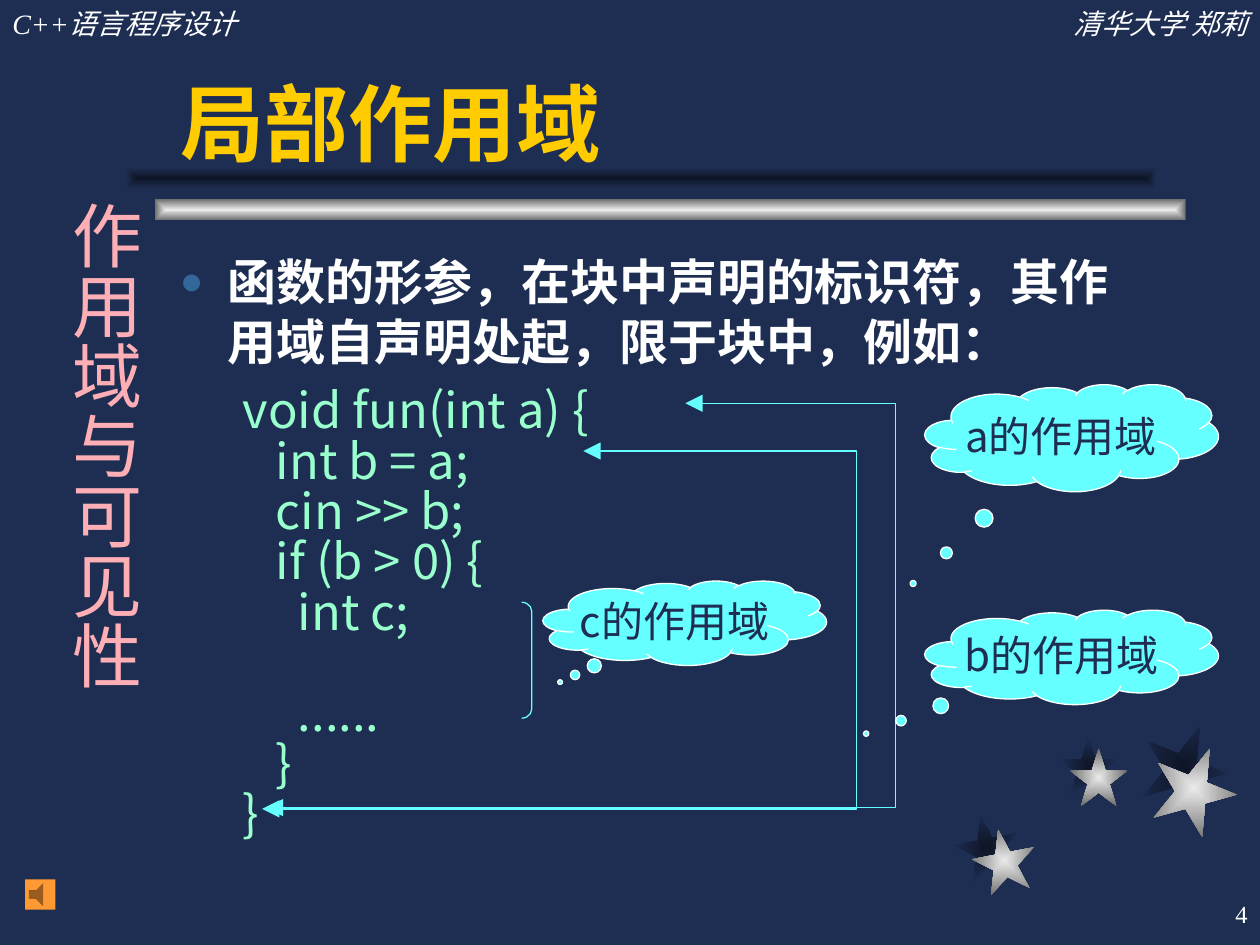
import pptx
import pptx.util
import pptx.dml.color
import pptx.enum.shapes
import pptx.enum.text
import pptx.oxml
import pptx.oxml.ns
from lxml import etree

Inches, Pt = pptx.util.Inches, pptx.util.Pt
SHAPE = pptx.enum.shapes.MSO_SHAPE
ALIGN = pptx.enum.text.PP_ALIGN
ANCHOR = pptx.enum.text.MSO_ANCHOR

THEME = {
    "background": "1E2E53", "shade": "0E1526", "silver": "EAEAEA", "steel": "6C6C6C",
    "white": "FFFFFF", "title": "FFCC00", "bullet": "336699", "code": "99FFCC",
    "cyan": "66FFFF", "topic": "FDAFB5", "sound": "FF9933",
    "cjk": "Noto Sans CJK SC", "serif": "Times New Roman", "sans": "Arial",
    "title_size": 48, "topic_size": 40, "body_size": 28, "cloud_size": 24,
    "header_size": 16, "number_size": 14, "hairline": 0.75,
}

# Content
TITLE = "局部作用域"
COURSE, AUTHOR, PAGE = "C++语言程序设计", "清华大学 郑莉", "4"
TOPIC = "作用域与可见性"
RULE = "函数的形参，在块中声明的标识符，其作用域自声明处起，限于块中，例如："
CODE = ["void fun(int a) {", "   int b = a;", "   cin >> b;", "   if (b > 0) {",
        "     int c;", "     ......", "   }", "}"]
LINE_AFTER_GAP = "     ......"
CODE_PITCH = 28.8

# Clouds: text, box, pointer offset
CLOUDS = [
    ("c的作用域", (4.31, 4.61, 2.25, 0.67), (-0.44, 0.70)),
    ("b的作用域", (7.34, 4.84, 2.33, 0.75), (-0.70, 0.81)),
    ("a的作用域", (7.34, 3.05, 2.33, 0.85), (-0.54, 1.36)),
]
# Scope paths: start of the scope, right edge, end of the scope
SCOPES = [((4.63, 3.58), 6.8, (2.08, 6.42)), ((5.44, 3.2), 7.11, (2.11, 6.41))]
# Stars: left, top, size, rotation, offset of the shade
STARS = [(7.72, 6.58, 0.5, 349, (-0.14, -0.11)),
         (8.49, 5.94, 0.46, 0, (-0.08, -0.09)),
         (9.14, 5.92, 0.67, 22, (-0.08, -0.17))]


def rgb(name):
    return pptx.dml.color.RGBColor.from_string(THEME[name])


def add_xml(parent, tag, **attributes):
    child = etree.SubElement(parent, pptx.oxml.ns.qn("a:" + tag))
    for key, value in attributes.items():
        child.set(key, str(value))
    return child


def style(paragraph, face, size, color, bold=False, italic=False):
    for run in paragraph.runs:
        font = run.font
        font.name, font.size = THEME[face], Pt(THEME[size])
        font.bold, font.italic = bold, italic
        font.color.rgb = rgb(color)
        add_xml(run.font._element, "ea", typeface=THEME["cjk"])


def add_text(slide, box, text, *look, align=ALIGN.LEFT, anchor=ANCHOR.TOP, **emphasis):
    frame = slide.shapes.add_textbox(*map(Inches, box)).text_frame
    frame.word_wrap = True
    frame.vertical_anchor = anchor
    frame.text = text
    frame.paragraphs[0].alignment = align
    style(frame.paragraphs[0], *look, **emphasis)
    return frame


def add_preset(slide, preset, box, fill=None, line=None):
    shape = slide.shapes.add_shape(preset, *map(Inches, box))
    shape.shadow.inherit = False
    if fill:
        shape.fill.solid()
        shape.fill.fore_color.rgb = rgb(fill)
    else:
        shape.fill.background()
    if line:
        shape.line.color.rgb = rgb(line)
        shape.line.width = Pt(THEME["hairline"])
    else:
        shape.line.fill.background()
    return shape


def add_glow(slide, preset, box, inner, outer, rotation=0):
    """Add a shape with a gradient that runs from its middle to its edges."""
    shape = add_preset(slide, preset, box)
    shape.rotation = rotation
    properties = shape._element.spPr
    gradient = etree.Element(pptx.oxml.ns.qn("a:gradFill"), rotWithShape="1")
    stops = add_xml(gradient, "gsLst")
    for position, color in ((0, inner), (100000, outer)):
        add_xml(add_xml(stops, "gs", pos=position), "srgbClr", val=THEME[color])
    middle = dict.fromkeys("ltrb", 50000)
    add_xml(add_xml(gradient, "path", path="rect"), "fillToRect", **middle)
    properties.replace(properties.find(pptx.oxml.ns.qn("a:noFill")), gradient)


def add_scope(slide, start, right, end):
    corners = [(right, start[1]), (right, end[1]), end]
    builder = slide.shapes.build_freeform(*map(Inches, start))
    builder.add_line_segments([tuple(map(Inches, point)) for point in corners], close=False)
    scope = builder.convert_to_shape()
    scope.shadow.inherit = False
    scope.fill.background()
    scope.line.color.rgb = rgb("cyan")
    scope.line.width = Pt(THEME["hairline"])
    for end_tag in ("headEnd", "tailEnd"):
        add_xml(scope.line._get_or_add_ln(), end_tag, type="triangle", w="lg", len="lg")


def add_body(slide):
    frame = add_text(slide, (1.33, 1.94, 7.92, 5), RULE, "cjk", "body_size", "white", bold=True)
    rule = frame.paragraphs[0]
    properties = rule._p.get_or_add_pPr()
    properties.set("marL", str(Inches(0.38)))
    properties.set("indent", str(Inches(-0.38)))
    add_xml(add_xml(properties, "buClr"), "srgbClr", val=THEME["bullet"])
    add_xml(properties, "buSzPct", val=80000)
    add_xml(properties, "buFont", typeface=THEME["sans"])
    add_xml(properties, "buChar", char="●")
    rule.line_spacing, rule.space_after = Pt(34.3), Pt(10)
    for text in CODE:
        line = frame.add_paragraph()
        line.text = text
        line._p.get_or_add_pPr().set("marL", str(Inches(0.5)))
        line.line_spacing = Pt(CODE_PITCH)
        line.space_before = Pt(CODE_PITCH if text == LINE_AFTER_GAP else 0)
        style(line, "cjk", "body_size", "code")


def main():
    deck = pptx.Presentation()
    deck.slide_width, deck.slide_height = Inches(10), Inches(7.5)
    slide = deck.slides.add_slide(deck.slide_layouts[5])
    slide.background.fill.solid()
    slide.background.fill.fore_color.rgb = rgb("background")

    # Stars and title bar, each with its shade
    for left, top, size, rotation, (dx, dy) in STARS:
        add_glow(slide, SHAPE.STAR_5_POINT, (left + dx, top + dy, size, size),
                 "shade", "background", rotation)
    for left, top, size, rotation, _ in STARS:
        add_glow(slide, SHAPE.STAR_5_POINT, (left, top, size, size), "silver", "steel", rotation)
    add_glow(slide, SHAPE.RECTANGLE, (1.23, 1.58, 8.18, 0.17), "silver", "steel")
    add_glow(slide, SHAPE.RECTANGLE, (1, 1.33, 8.18, 0.17), "shade", "background")

    # Header and page number
    header = ("serif", "header_size", "white")
    add_text(slide, (0, 0, 3.08, 0.37), COURSE, *header, italic=True)
    add_text(slide, (6.92, 0, 3.08, 0.37), AUTHOR, *header, align=ALIGN.RIGHT, italic=True)
    add_text(slide, (7.92, 7, 2.08, 0.5), PAGE, "serif", "number_size", "white",
             align=ALIGN.RIGHT, anchor=ANCHOR.MIDDLE)

    # Title
    title = slide.shapes.title
    title.left, title.top, title.width, title.height = map(Inches, (1.33, 0.5, 7.92, 0.92))
    frame = title.text_frame
    frame.text = TITLE
    frame.auto_size = pptx.enum.text.MSO_AUTO_SIZE.NONE
    frame.vertical_anchor = ANCHOR.BOTTOM
    frame.paragraphs[0].alignment = ALIGN.LEFT
    style(frame.paragraphs[0], "sans", "title_size", "title", bold=True)

    # Rule, code and vertical topic
    add_body(slide)
    topic = add_text(slide, (0.36, 1.5, 0.86, 4.83), TOPIC, "serif", "topic_size", "topic",
                     align=ALIGN.CENTER)
    topic._txBody.bodyPr.set("vert", "eaVert")
    topic.margin_left = topic.margin_right = Inches(0.05)

    # Scopes of the three variables
    for scope in SCOPES:
        add_scope(slide, *scope)
    bracket = add_preset(slide, SHAPE.RIGHT_BRACKET, (4.14, 4.78, 0.08, 0.92), line="cyan")
    bracket.adjustments[0] = 0.9
    for text, box, pointer in CLOUDS:
        cloud = add_preset(slide, SHAPE.CLOUD_CALLOUT, box, "cyan", "white")
        cloud.adjustments[0], cloud.adjustments[1] = pointer
        cloud.text_frame.text = text
        cloud.text_frame.word_wrap = False
        cloud.text_frame.vertical_anchor = ANCHOR.MIDDLE
        cloud.text_frame.paragraphs[0].alignment = ALIGN.CENTER
        style(cloud.text_frame.paragraphs[0], "cjk", "cloud_size", "background")

    # Sound button
    add_preset(slide, SHAPE.ACTION_BUTTON_SOUND, (0.2, 6.98, 0.24, 0.24), "sound")
    deck.save("out.pptx")


if __name__ == "__main__":
    main()
